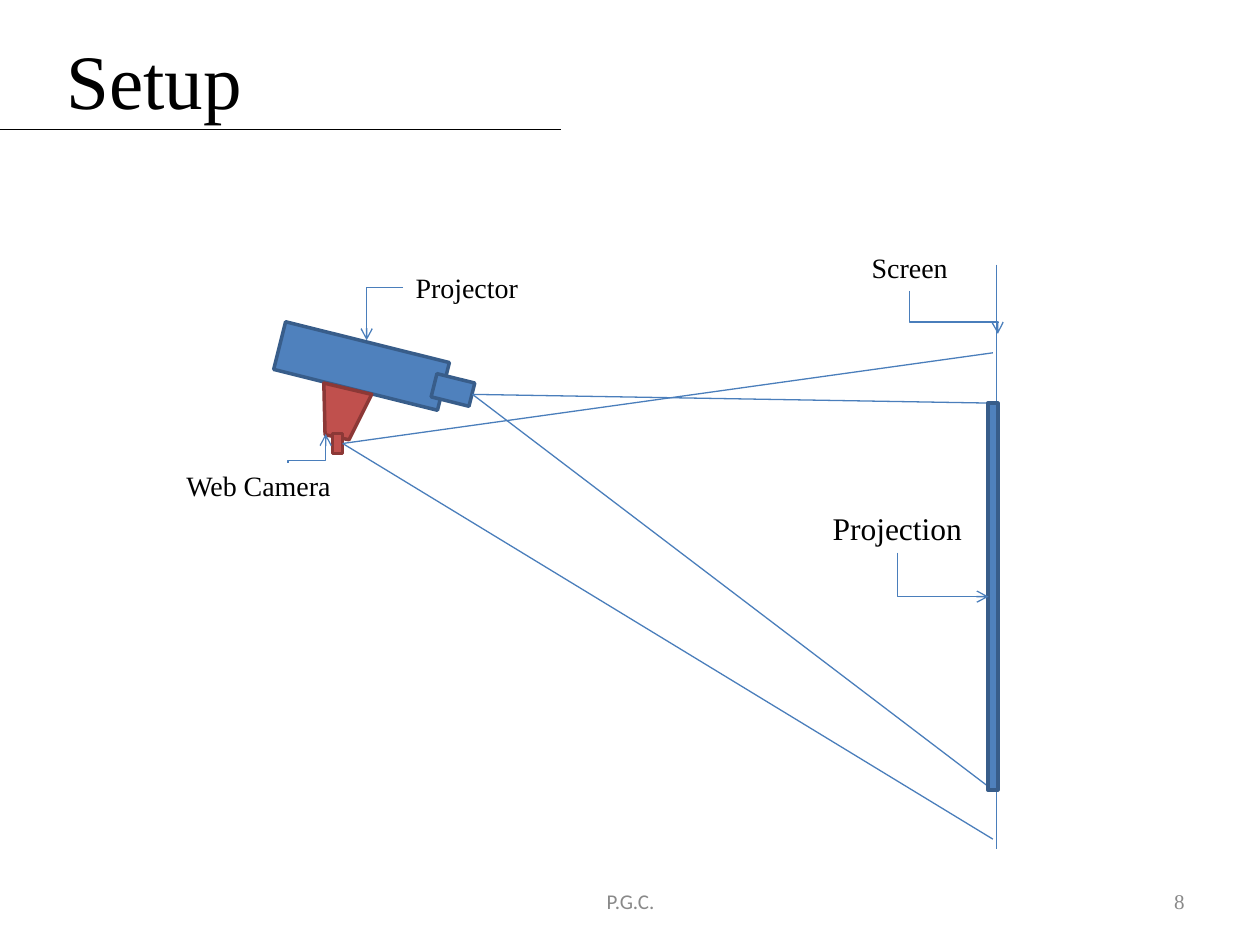
import lxml.etree
import pptx
import pptx.dml.color
import pptx.enum.shapes
import pptx.enum.text
import pptx.oxml.ns
import pptx.util

RGB = pptx.dml.color.RGBColor
BLACK = RGB(0x00, 0x00, 0x00)
GREY = RGB(0x89, 0x89, 0x89)
BLUE = RGB(0x4F, 0x81, 0xBD)
NAVY = RGB(0x38, 0x5D, 0x8A)
RAY = RGB(0x4A, 0x7E, 0xBB)
RED = RGB(0xC0, 0x50, 0x4D)
MAROON = RGB(0x8C, 0x38, 0x36)

SCALE = 9144  # EMU per px, 100 px to the inch
SERIF = "Times New Roman"
ALIGN = pptx.enum.text.PP_ALIGN
ANCHOR = pptx.enum.text.MSO_ANCHOR
FIT = pptx.enum.text.MSO_AUTO_SIZE
KIND = pptx.enum.shapes.MSO_CONNECTOR
RECT = pptx.enum.shapes.MSO_SHAPE.RECTANGLE
qn = pptx.oxml.ns.qn


def emu(*px):
    return [pptx.util.Emu(v * SCALE) for v in px]


def apply(item, **values):
    for name, value in values.items():
        setattr(item, name, value)


class Board:
    def __init__(self, slide):
        self.slide = slide
        self.shapes = slide.shapes

    def text(self, words, box, size, align=ALIGN.LEFT, color=BLACK,
             font=SERIF, **frame):
        body = self.shapes.add_textbox(*emu(*box)).text_frame
        apply(body, **{"word_wrap": True, "auto_size": FIT.NONE, **frame})
        para = body.paragraphs[0]
        para.alignment = align
        run = para.add_run()
        run.text = words
        apply(run.font, name=font, size=pptx.util.Pt(size))
        run.font.color.rgb = color

    def paint(self, shape, fill, edge):
        shape.shadow.inherit = False
        shape.fill.solid()
        shape.fill.fore_color.rgb = fill
        shape.line.color.rgb = edge
        shape.line.width = pptx.util.Pt(2)
        return shape

    def rect(self, box, fill=BLUE, edge=NAVY, turn=0):
        shape = self.shapes.add_shape(RECT, *emu(*box))
        shape.rotation = turn
        return self.paint(shape, fill, edge)

    def poly(self, points, fill, edge):
        path = self.shapes.build_freeform(*points[0], scale=SCALE)
        path.add_line_segments(points[1:], close=True)
        return self.paint(path.convert_to_shape(), fill, edge)

    def wire(self, kind, ends, color):
        conn = self.shapes.add_connector(kind, *emu(*ends))
        conn.line.color.rgb = color
        conn.line.width = pptx.util.Pt(0.75)
        lxml.etree.SubElement(conn._element.spPr, qn("a:effectLst"))
        return conn

    def line(self, start, end, color=RAY, source=None):
        conn = self.wire(KIND.STRAIGHT, (*start, *end), color)
        if source is not None:
            conn.begin_connect(source, 3)
            # A turned source has its side away from the upright middle
            conn.begin_x, conn.begin_y = emu(*start)

    def elbow(self, box, turn, flips, bends=2, adjust=None):
        """Bent arrow, given by its box before it is turned."""
        left, top, width, height = box
        ends = (left, top, left + width, top + height)
        conn = self.wire(KIND.ELBOW, ends, RAY)
        props = conn._element.spPr
        frame = props.find(qn("a:xfrm"))
        frame.set("rot", str(turn * 60000))
        for flip in flips:
            frame.set("flip" + flip, "1")
        shape = props.find(qn("a:prstGeom"))
        shape.set("prst", f"bentConnector{bends}")
        if adjust is not None:
            lxml.etree.SubElement(shape.find(qn("a:avLst")), qn("a:gd"),
                                  name="adj1", fmla=f"val {adjust}")
        lxml.etree.SubElement(props.find(qn("a:ln")), qn("a:tailEnd"),
                              type="arrow")


def main():
    deck = pptx.Presentation()
    deck.slide_width, deck.slide_height = emu(1000, 750)
    board = Board(deck.slides.add_slide(deck.slide_layouts[6]))

    # Title and footer
    middle = {"vertical_anchor": ANCHOR.MIDDLE}
    board.text("Setup", (43, 0, 900, 125), 44, **middle)
    board.text("P.G.C.", (342, 695, 317, 40), 12, ALIGN.CENTER, GREY,
               "Calibri", **middle)
    board.text("8", (717, 695, 233, 40), 12, ALIGN.RIGHT, GREY, **middle)

    # Projector, screen and projector beam
    board.rect((220, 271, 134, 39), turn=14)
    board.line((791, 210), (791, 674))
    lens = board.rect((344, 300, 31, 19), turn=14)
    for end in ((791, 320), (788, 627)):
        board.line((375, 313), end, source=lens)

    # Web camera and its field of view
    board.poly([(295, 313), (277, 349), (258, 345), (257, 304)], RED, MAROON)
    camera = board.rect((264, 344, 8, 16), RED, MAROON)
    for end in ((788, 280), (788, 666)):
        board.line((272, 352), end, source=camera)

    # Labels
    for words, box, size, wrap in (
        ("Projector", (320, 210, 101, 37), 16, False),
        ("Web Camera", (138, 367, 181, 37), 16, True),
        ("Screen", (682, 194, 80, 37), 16, False),
        ("Projection", (651, 399, 123, 40), 18, False),
    ):
        board.text(words, box, size, word_wrap=wrap,
                   auto_size=FIT.SHAPE_TO_FIT_TEXT)

    # Label arrows and projected area
    board.elbow((291, 228, 29, 42), 180, "V")
    board.elbow((232, 341, 23, 30), 90, "HV", 3, 8800)
    board.elbow((740, 213, 34, 70), 270, "H", 3, 72400)
    board.rect((784, 320, 8, 307))
    board.elbow((731, 420, 35, 72), 270, "H")

    # Title rule
    board.line((0, 103), (445, 103), BLACK)

    deck.save("out.pptx")


if __name__ == "__main__":
    main()
